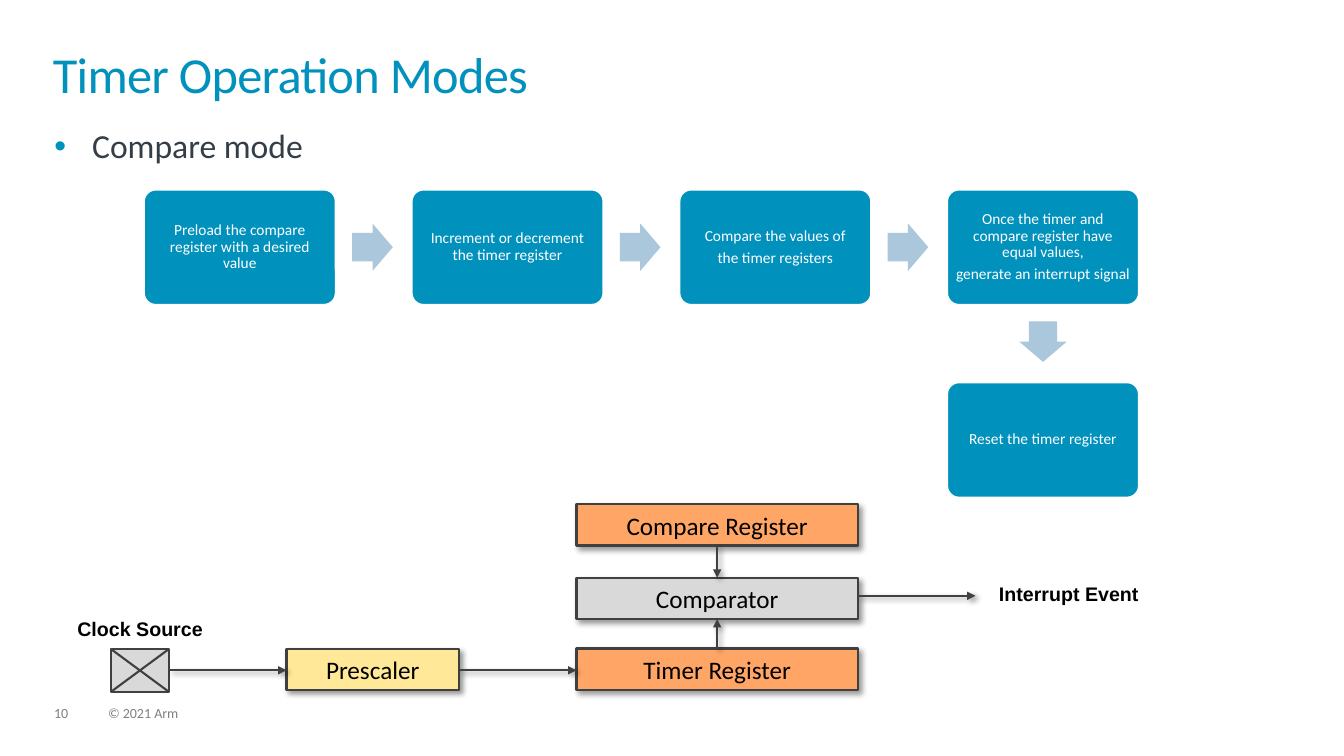
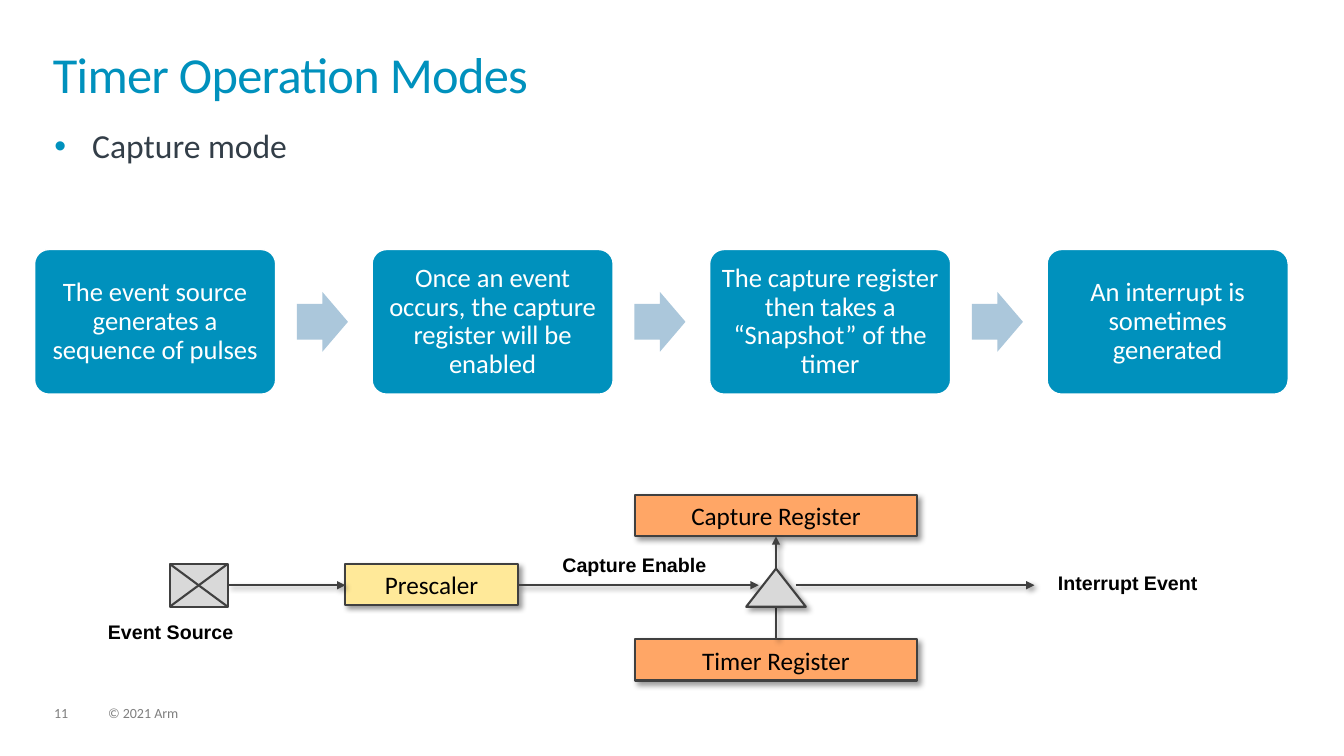
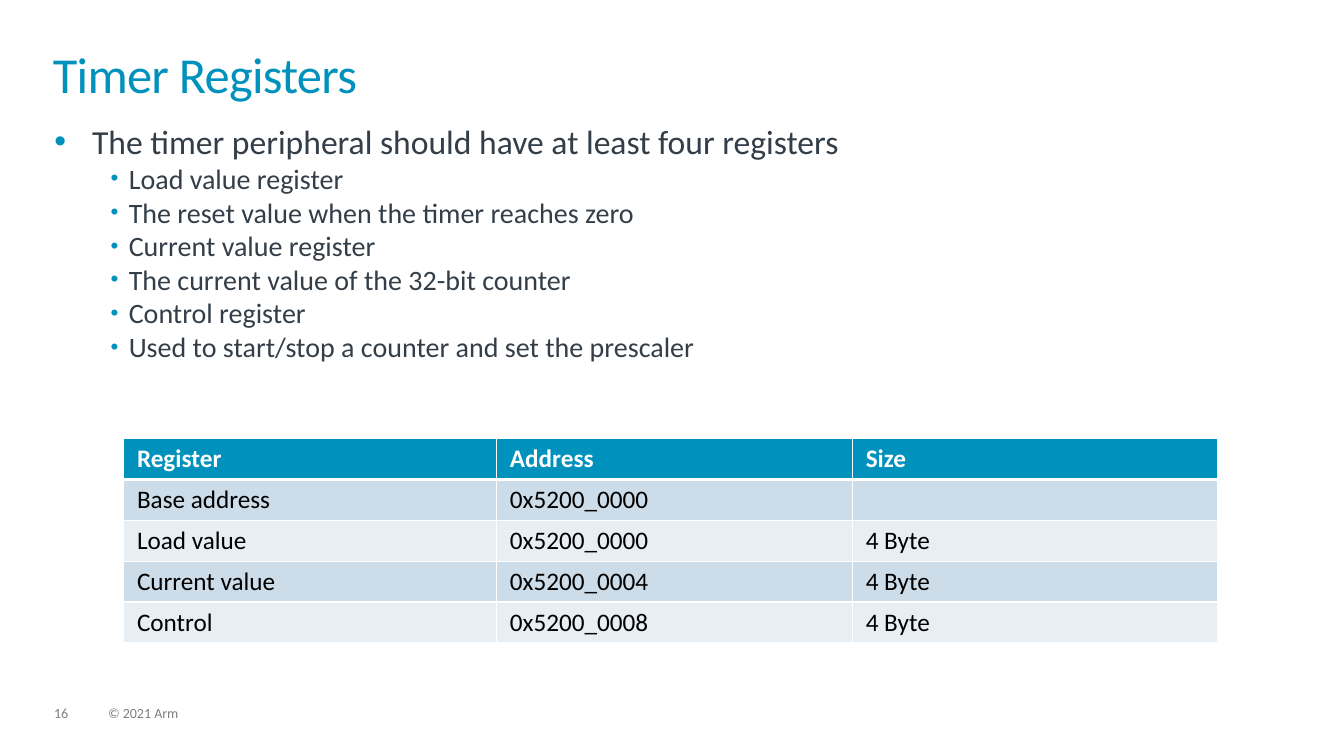
from lxml.etree import SubElement
from pptx import Presentation
from pptx.dml.color import RGBColor
from pptx.enum.shapes import MSO_CONNECTOR, MSO_SHAPE
from pptx.enum.text import MSO_ANCHOR, PP_ALIGN
from pptx.oxml.ns import qn
from pptx.util import Pt

BLUE = RGBColor(0x00, 0x91, 0xBD)
PALE_BLUE = RGBColor(0xAB, 0xC7, 0xDB)
BAND_DARK = RGBColor(0xCC, 0xDC, 0xE8)
BAND_LIGHT = RGBColor(0xE7, 0xEE, 0xF4)
INK = RGBColor(0x33, 0x3E, 0x48)
BLACK = RGBColor(0, 0, 0)
WHITE = RGBColor(0xFF, 0xFF, 0xFF)
FOOTER_GRAY = RGBColor(0x7F, 0x7F, 0x7F)
OUTLINE = RGBColor(0x40, 0x40, 0x40)
LIGHT_GRAY = RGBColor(0xD9, 0xD9, 0xD9)
ORANGE = RGBColor(0xFF, 0xA6, 0x66)
YELLOW = RGBColor(0xFF, 0xE9, 0x99)

BLOCK_H = 29.5
REGISTER_W = 201
SOURCE_W, SOURCE_H = 41.5, 30.6
PRESCALER_W = 123.2
ARROW_LEN = 84


def add_xml(parent, tag, **attrs):
    return SubElement(parent, qn(tag), {k: str(v) for k, v in attrs.items()})


def set_font(p, size, color, name="Calibri", bold=False):
    p.font.size, p.font.name, p.font.bold = Pt(size), name, bold
    p.font.color.rgb = color


def set_effects(sp, shadow):
    """Replace the theme shadow by a soft one, or by none."""
    effects = add_xml(sp._element.spPr, "a:effectLst")
    if shadow:
        outer = add_xml(effects, "a:outerShdw", blurRad=Pt(4), dist=Pt(3),
                        dir=45 * 60000, algn="tl", rotWithShape=0)
        color = add_xml(outer, "a:srgbClr", val=BLACK)
        add_xml(color, "a:alpha", val=40000)


def text_box(s, x, y, w, h, inset=0):
    tf = s.shapes.add_textbox(Pt(x), Pt(y), Pt(w), Pt(h)).text_frame
    tf.word_wrap = True
    tf.margin_left = tf.margin_right = Pt(inset)
    tf.margin_top = tf.margin_bottom = Pt(inset / 2)
    return tf


def add_shape(s, kind, x, y, w, h, fill, line=None, line_w=1.5, shadow=False):
    sp = s.shapes.add_shape(kind, Pt(x), Pt(y), Pt(w), Pt(h))
    sp.fill.solid()
    sp.fill.fore_color.rgb = fill
    if line is None:
        sp.line.fill.background()
    else:
        sp.line.color.rgb, sp.line.width = line, Pt(line_w)
    set_effects(sp, shadow)
    return sp


def add_line(s, x1, y1, x2, y2, arrow=True):
    c = s.shapes.add_connector(MSO_CONNECTOR.STRAIGHT,
                               Pt(x1), Pt(y1), Pt(x2), Pt(y2))
    c.line.color.rgb, c.line.width = OUTLINE, Pt(1.5)
    if arrow:
        add_xml(c.line._get_or_add_ln(), "a:tailEnd", type="triangle")
    set_effects(c, arrow)


# Parts shared by all slides
def base_slide(prs, title, number):
    s = prs.slides.add_slide(prs.slide_layouts[6])
    for x, w, text in ((38.6, 24.5, str(number)), (77.2, 365, "© 2021 Arm")):
        p = text_box(s, x, 504.7, w, 11).paragraphs[0]
        p.text, p.line_spacing = text, 0.9
        set_font(p, 10, FOOTER_GRAY)
    p = text_box(s, 37.8, 37.5, 884, 52).paragraphs[0]
    p.text, p.line_spacing = title, 0.85
    set_font(p, 36, BLUE)
    p.runs[0]._r.get_or_add_rPr().set("spc", "-50")
    return s


def bullet_list(s, y, h, heading, items=()):
    tf = text_box(s, 38.8, y, 880, h)
    for i, text in enumerate((heading, *items)):
        p = tf.add_paragraph() if i else tf.paragraphs[0]
        p.text, p.level = text, min(i, 1)
        margin, hang, size, scale = (53.2, 13, 20, 80) if i else (27, 27, 24, 100)
        pPr = p._p.get_or_add_pPr()
        pPr.set("marL", str(Pt(margin)))
        pPr.set("indent", str(-Pt(hang)))
        add_xml(add_xml(pPr, "a:buClr"), "a:srgbClr", val=BLUE)
        add_xml(pPr, "a:buSzPct", val=scale * 1000)
        add_xml(pPr, "a:buFont", typeface="Arial")
        add_xml(pPr, "a:buChar", char="•")
        set_font(p, size, INK)


# Process flow: every distance follows from the card width
def flow_card(s, x, y, w, size, lines):
    sp = add_shape(s, MSO_SHAPE.ROUNDED_RECTANGLE, x, y, w, 0.6 * w, BLUE, WHITE, 1)
    sp.adjustments[0] = 0.1
    tf = sp.text_frame
    tf.word_wrap, tf.vertical_anchor = True, MSO_ANCHOR.MIDDLE
    tf.margin_left = tf.margin_right = Pt(0.3 * size)
    tf.margin_top = tf.margin_bottom = Pt(0.3 * size)
    for i, text in enumerate(lines):
        p = tf.add_paragraph() if i else tf.paragraphs[0]
        p.text, p.alignment, p.line_spacing = text, PP_ALIGN.CENTER, 0.9
        if i < len(lines) - 1:
            p.space_after = Pt(0.35 * size)
        set_font(p, size, WHITE)


def flow_arrow(s, cx, cy, w, rotation=0):
    length, height = 0.212 * w, 0.248 * w
    sp = add_shape(s, MSO_SHAPE.RIGHT_ARROW, cx - length / 2, cy - height / 2,
                   length, height, PALE_BLUE)
    sp.adjustments[0], sp.adjustments[1] = 0.6, 0.5
    sp.rotation = rotation


def process_flow(s, x, y, w, size, steps, last_below=None):
    for i, lines in enumerate(steps):
        left = x + 1.4 * w * i
        if i:
            flow_arrow(s, left - 0.206 * w, y + 0.3 * w, w)
        flow_card(s, left, y, w, size, lines)
    if last_below:
        flow_arrow(s, left + w / 2, y + 0.794 * w, w, 90)
        flow_card(s, left, y + 1.008 * w, w, size, last_below)


# Timer block diagram
def block(s, x, y, w, text, fill):
    sp = add_shape(s, MSO_SHAPE.RECTANGLE, x, y, w, BLOCK_H, fill, OUTLINE, shadow=True)
    tf = sp.text_frame
    tf.word_wrap, tf.vertical_anchor = False, MSO_ANCHOR.MIDDLE
    p = tf.paragraphs[0]
    p.text, p.alignment = text, PP_ALIGN.CENTER
    set_font(p, 18, BLACK)


def label(s, x, y, w, text, align=PP_ALIGN.LEFT):
    p = text_box(s, x, y, w, 24.2, 7.2).paragraphs[0]
    p.text, p.alignment = text, align
    set_font(p, 14, BLACK, "Arial", True)


def prescaled_source(s, x, y, arrow_end):
    """Crossed source box, prescaler, and the arrow leaving the prescaler."""
    right, mid = x + SOURCE_W, y + 15.2
    add_shape(s, MSO_SHAPE.RECTANGLE, x, y, SOURCE_W, SOURCE_H, LIGHT_GRAY, OUTLINE)
    add_line(s, x, y, right, y + SOURCE_H, arrow=False)
    add_line(s, right, y, x, y + SOURCE_H, arrow=False)
    prescaler_x = right + ARROW_LEN
    block(s, prescaler_x, y, PRESCALER_W, "Prescaler", YELLOW)
    add_line(s, right, mid, prescaler_x, mid)
    add_line(s, prescaler_x + PRESCALER_W, mid, arrow_end, mid)


def register_pair(s, x, y, upper_name):
    block(s, x, y, REGISTER_W, upper_name, ORANGE)
    block(s, x, y + 103, REGISTER_W, "Timer Register", ORANGE)


def interrupt_output(s, x1, x2, y):
    add_line(s, x1, y, x2, y)
    label(s, x2 + 9.7, y - 13.6, 163, "Interrupt Event")


def compare_diagram(s, x, y):
    reg_x, mid_x = x + 332.6, x + 332.6 + REGISTER_W / 2
    comparator_y = y + 52.5
    register_pair(s, reg_x, y, "Compare Register")
    prescaled_source(s, x, y + 103.4, reg_x)
    block(s, reg_x, comparator_y, REGISTER_W, "Comparator", LIGHT_GRAY)
    add_line(s, mid_x, y + 103, mid_x, comparator_y + BLOCK_H)
    add_line(s, mid_x, y + BLOCK_H, mid_x, comparator_y)
    interrupt_output(s, reg_x + REGISTER_W, reg_x + REGISTER_W + ARROW_LEN, y + 65.4)
    label(s, x - 31, y + 77, 144, "Clock Source")


def capture_diagram(s, x, y):
    reg_x, mid_x = x + 332.6, x + 332.6 + REGISTER_W / 2
    register_pair(s, reg_x, y, "Capture Register")
    prescaled_source(s, x, y + 49.2, mid_x - 12.4)
    add_line(s, mid_x, y + 103, mid_x, y + BLOCK_H)
    interrupt_output(s, mid_x + 14, mid_x + 184.6, y + 64.4)
    label(s, x - 51.2, y + 85.5, 144, "Event Source")
    add_shape(s, MSO_SHAPE.ISOSCELES_TRIANGLE, mid_x - 21.3, y + 52.6, 42.6, 27.2,
              LIGHT_GRAY, OUTLINE, shadow=True)
    label(s, x + 250.3, y + 38, 163.4, "Capture Enable", PP_ALIGN.CENTER)


# Register table
def style_cell(cell, text, row):
    cell.margin_left = cell.margin_right = Pt(9.4)
    cell.margin_top = cell.margin_bottom = Pt(3.6)
    p = cell.text_frame.paragraphs[0]
    p.text = text
    set_font(p, 18, BLACK if row else WHITE, bold=not row)
    tcPr = cell._tc.get_or_add_tcPr()
    for side in ("L", "R", "T", "B"):
        thick = (row, side) in ((0, "B"), (1, "T"))
        ln = add_xml(tcPr, f"a:ln{side}", w=Pt(3 if thick else 1))
        add_xml(add_xml(ln, "a:solidFill"), "a:srgbClr", val=WHITE)
    cell.fill.solid()
    cell.fill.fore_color.rgb = (BAND_DARK if row % 2 else BAND_LIGHT) if row else BLUE


def register_table(s, x, y, widths, row_h, rows):
    table = s.shapes.add_table(len(rows), len(widths), Pt(x), Pt(y),
                               Pt(sum(widths)), Pt(row_h * len(rows))).table
    for col, w in zip(table.columns, widths):
        col.width = Pt(w)
    for r, values in enumerate(rows):
        table.rows[r].height = Pt(row_h)
        for c, text in enumerate(values):
            style_cell(table.cell(r, c), text, r)


def main():
    prs = Presentation()
    prs.slide_width, prs.slide_height = Pt(960), Pt(540)

    s = base_slide(prs, "Timer Operation Modes", 10)
    bullet_list(s, 89.5, 322, "Compare mode")
    process_flow(s, 103, 135.6, 136.6, 11, [
        ["Preload the compare register with a desired value"],
        ["Increment or decrement the timer register"],
        ["Compare the values of", "the timer registers"],
        ["Once the timer and compare register have equal values,",
         "generate an interrupt signal"],
    ], last_below=["Reset the timer register"])
    compare_diagram(s, 79.2, 360.2)

    s = base_slide(prs, "Timer Operation Modes", 11)
    bullet_list(s, 89.5, 322, "Capture mode")
    process_flow(s, 24.7, 178.2, 172.2, 19, [
        ["The event source generates a sequence of pulses"],
        ["Once an event occurs, the capture register will be enabled"],
        ["The capture register then takes a “Snapshot” of the timer"],
        ["An interrupt is sometimes generated"],
    ])
    capture_diagram(s, 121.2, 353.6)

    s = base_slide(prs, "Timer Registers", 16)
    bullet_list(s, 86.6, 227, "The timer peripheral should have at least four registers", [
        "Load value register",
        "The reset value when the timer reaches zero",
        "Current value register",
        "The current value of the 32-bit counter",
        "Control register",
        "Used to start/stop a counter and set the prescaler",
    ])
    register_table(s, 88.5, 313.2, (266.4, 254.2, 260.6), 29.2, [
        ("Register", "Address", "Size"),
        ("Base address", "0x5200_0000", ""),
        ("Load value", "0x5200_0000", "4 Byte"),
        ("Current value", "0x5200_0004", "4 Byte"),
        ("Control", "0x5200_0008", "4 Byte"),
    ])
    prs.save("out.pptx")


if __name__ == "__main__":
    main()
